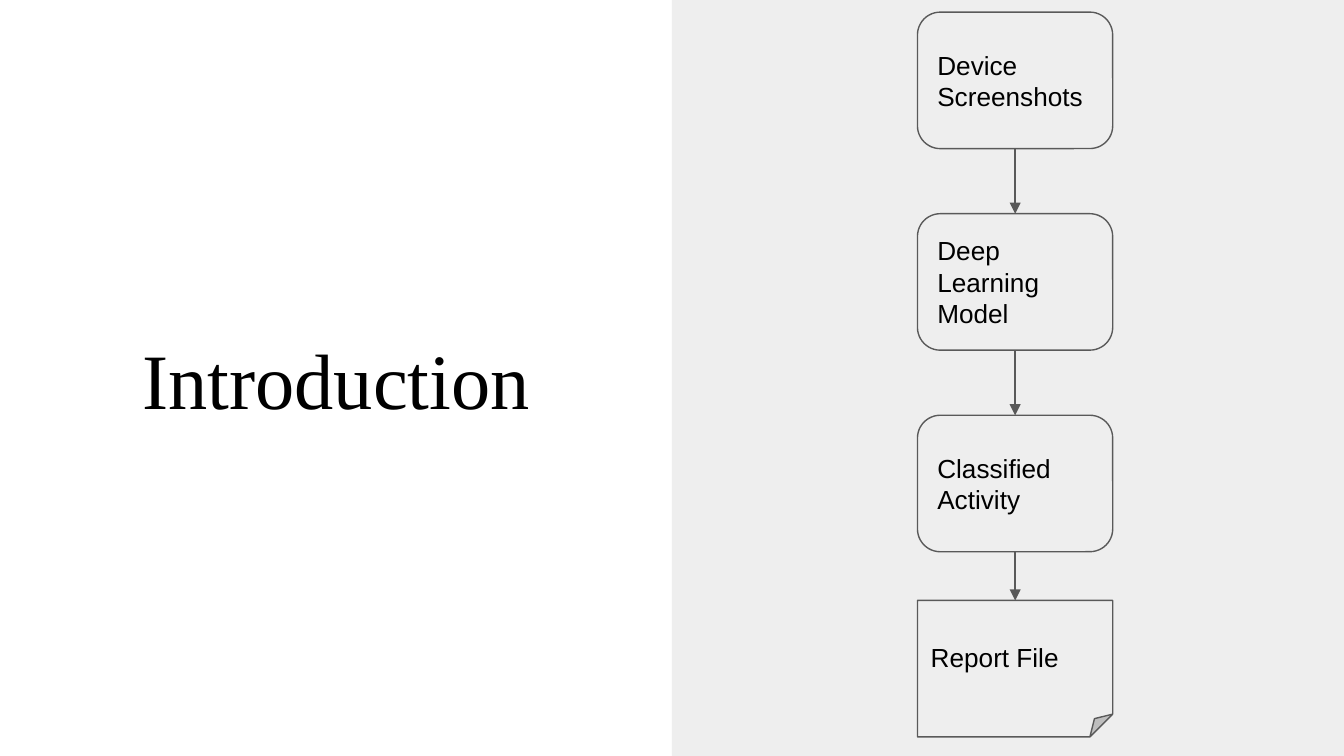
"""Build the introduction slide with its screenshot-to-report flowchart."""
from dataclasses import dataclass

import pptx
import pptx.dml.color
import pptx.enum.shapes
import pptx.enum.text
import pptx.oxml
import pptx.oxml.ns
import pptx.util
from pptx.enum.shapes import MSO_CONNECTOR, MSO_SHAPE
from pptx.enum.text import MSO_ANCHOR, MSO_AUTO_SIZE, PP_ALIGN
from pptx.util import Cm

BLACK = pptx.dml.color.RGBColor(0x00, 0x00, 0x00)
PANEL_GRAY = pptx.dml.color.RGBColor(0xEE, 0xEE, 0xEE)
LINE_GRAY = pptx.dml.color.RGBColor(0x59, 0x59, 0x59)

SLIDE_WIDTH, SLIDE_HEIGHT = Cm(25.4), Cm(14.29)
STEP_LEFT, STEP_WIDTH, STEP_HEIGHT = Cm(17.34), Cm(3.69), Cm(2.58)
FIRST_TOP, STEP_PITCH, REPORT_TOP = Cm(0.23), Cm(3.81), Cm(11.35)
INSET = Cm(0.25)
LINE_WIDTH = pptx.util.Pt(0.75)
BOTTOM_SITE, TOP_SITE = 2, 0


@dataclass(frozen=True)
class Step:
    """One box of the flowchart."""

    label: str
    top: int
    kind: MSO_SHAPE = MSO_SHAPE.ROUNDED_RECTANGLE


STEPS = [
    Step(label, FIRST_TOP + index * STEP_PITCH)
    for index, label in enumerate(
        ["Device Screenshots", "Deep Learning Model", "Classified Activity"]
    )
] + [Step("Report File", REPORT_TOP, MSO_SHAPE.FOLDED_CORNER)]


def write_text(shape, text: str, *, font: str, size: float, alignment: PP_ALIGN) -> None:
    """Fill a shape with one formatted, vertically centred paragraph."""
    frame = shape.text_frame
    frame.word_wrap = True
    frame.auto_size = MSO_AUTO_SIZE.NONE
    frame.vertical_anchor = MSO_ANCHOR.MIDDLE
    frame.margin_left = frame.margin_right = INSET
    frame.margin_top = frame.margin_bottom = INSET
    paragraph = frame.paragraphs[0]
    paragraph.alignment = alignment
    run = paragraph.add_run()
    run.text = text
    run.font.name = font
    run.font.size = pptx.util.Pt(size)
    run.font.color.rgb = BLACK


def add_panel(slide) -> None:
    """Shade the right half of the slide."""
    half = SLIDE_WIDTH // 2
    panel = slide.shapes.add_shape(MSO_SHAPE.RECTANGLE, half, 0, half, SLIDE_HEIGHT)
    panel.shadow.inherit = False
    panel.fill.solid()
    panel.fill.fore_color.rgb = PANEL_GRAY
    panel.line.fill.background()


def add_title(slide) -> None:
    """Place the title in the left half."""
    title = slide.shapes.title
    title.left, title.top = Cm(0.74), Cm(5.31)
    title.width, title.height = Cm(11.23), Cm(3.66)
    write_text(title, "Introduction", font="Times New Roman", size=42,
               alignment=PP_ALIGN.CENTER)


def add_step(slide, step: Step):
    """Draw one flowchart box and return it."""
    shape = slide.shapes.add_shape(step.kind, STEP_LEFT, step.top, STEP_WIDTH, STEP_HEIGHT)
    shape.shadow.inherit = False
    shape.fill.solid()
    shape.fill.fore_color.rgb = PANEL_GRAY
    shape.line.color.rgb = LINE_GRAY
    shape.line.width = LINE_WIDTH
    write_text(shape, step.label, font="Arial", size=14, alignment=PP_ALIGN.LEFT)
    return shape


def add_arrow(slide, source, target) -> None:
    """Join the bottom of one box to the top of the next."""
    connector = slide.shapes.add_connector(MSO_CONNECTOR.STRAIGHT, 0, 0, 0, 0)
    connector.begin_connect(source, BOTTOM_SITE)
    connector.end_connect(target, TOP_SITE)
    connector.line.color.rgb = LINE_GRAY
    connector.line.width = LINE_WIDTH
    properties = connector.element.spPr
    line = properties.find(pptx.oxml.ns.qn("a:ln"))
    arrowhead = pptx.oxml.parse_xml(
        f'<a:tailEnd {pptx.oxml.ns.nsdecls("a")} type="triangle"/>'
    )
    line.append(arrowhead)
    properties.append(
        pptx.oxml.parse_xml(f'<a:effectLst {pptx.oxml.ns.nsdecls("a")}/>')
    )


def main() -> None:
    """Assemble and save the presentation."""
    presentation = pptx.Presentation()
    presentation.slide_width = SLIDE_WIDTH
    presentation.slide_height = SLIDE_HEIGHT
    slide = presentation.slides.add_slide(presentation.slide_layouts.get_by_name("Title Only"))
    add_panel(slide)
    add_title(slide)
    boxes = [add_step(slide, step) for step in STEPS]
    for source, target in zip(boxes, boxes[1:]):
        add_arrow(slide, source, target)
    presentation.save("out.pptx")


if __name__ == "__main__":
    main()
